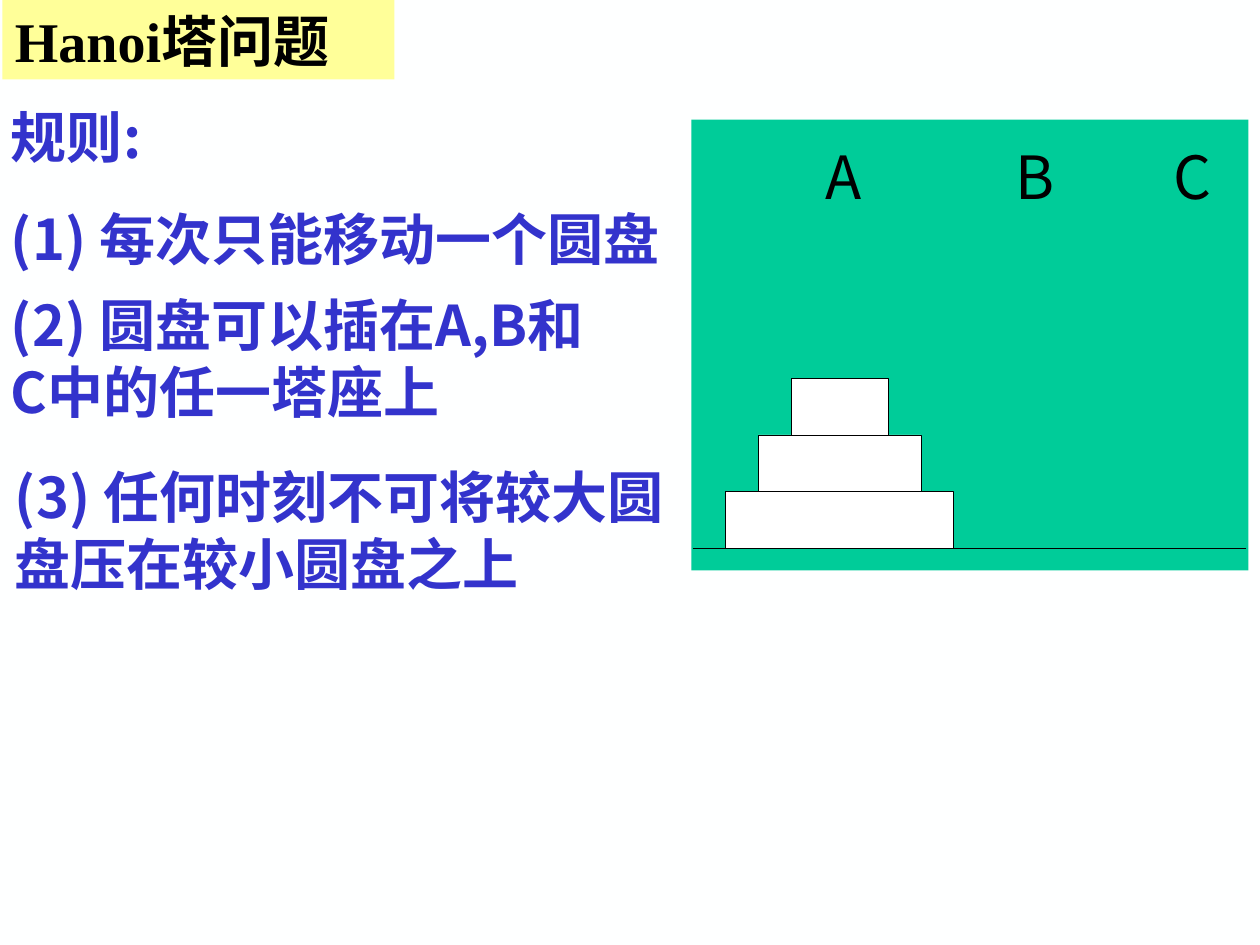
from lxml.etree import SubElement
from pptx import Presentation
from pptx.dml.color import RGBColor
from pptx.enum.shapes import MSO_CONNECTOR as Link, MSO_SHAPE as Form
from pptx.enum.text import MSO_ANCHOR as Anchor, MSO_AUTO_SIZE as Fit, PP_ALIGN as Align
from pptx.oxml.ns import qn
from pptx.util import Cm, Pt

SANS = "Noto Sans CJK SC"
SERIF = "Times New Roman"


def color(code):
    return RGBColor.from_string(code)


def write(frame, text, size=32, font=SANS, ink="3333CC", bold=True, wrap=True, pad=(0.25, 0.13)):
    frame.auto_size = Fit.NONE
    frame.word_wrap = wrap
    frame.vertical_anchor = Anchor.TOP
    frame.margin_left = frame.margin_right = Cm(pad[0])
    frame.margin_top = frame.margin_bottom = Cm(pad[1])
    para = frame.paragraphs[0]
    para.alignment = Align.LEFT
    run = para.add_run()
    run.text = text
    run.font.size = Pt(size)
    run.font.bold = bold
    run.font.color.rgb = color(ink)
    run.font.name = font
    SubElement(run.font._element, qn("a:ea"), typeface=SANS)


class Deck:
    black = "000000"
    thin = Pt(0.5)

    def __init__(self):
        self.show = Presentation()
        self.show.slide_width = Cm(25.4)
        self.show.slide_height = Cm(19.05)
        self.slide = self.show.slides.add_slide(self.show.slide_layouts[5])
        self.paint(self.slide.background, "FEFFFF")

    def paint(self, part, code):
        part.fill.solid()
        part.fill.fore_color.rgb = color(code)

    def title(self, text, box, fill):
        head = self.slide.shapes.title
        head.left, head.top, head.width, head.height = map(Cm, box)
        self.paint(head, fill)
        write(head.text_frame, text, font=SERIF, ink=self.black)

    def text(self, text, box, **style):
        shape = self.slide.shapes.add_textbox(*map(Cm, box))
        write(shape.text_frame, text, **style)

    def block(self, box, fill, edge=False):
        shape = self.slide.shapes.add_shape(Form.RECTANGLE, *map(Cm, box))
        shape.shadow.inherit = False
        self.paint(shape, fill)
        if edge:
            shape.line.color.rgb = color(self.black)
            shape.line.width = self.thin
        else:
            shape.line.fill.background()

    def line(self, *ends):
        link = self.slide.shapes.add_connector(Link.STRAIGHT, *map(Cm, ends))
        link.line.color.rgb = color(self.black)
        link.line.width = self.thin
        SubElement(link._element.spPr, qn("a:effectLst"))


def main():
    deck = Deck()
    deck.title("Hanoi塔问题", (0.05, 0, 7.9, 1.6), "FFFF99")

    rules = [
        ("规则:", (-0.03, 1.93, 3.35, 1.6), False),
        ("(1) 每次只能移动一个圆盘", (-0.03, 3.99, 14.12, 1.6), False),
        ("(2) 圆盘可以插在A,B和C中的任一塔座上", (-0.03, 5.72, 12.7, 2.97), True),
        ("(3) 任何时刻不可将较大圆盘压在较小圆盘之上", (0.05, 9.19, 13.97, 2.97), True),
    ]
    for text, box, wrap in rules:
        deck.text(text, box, wrap=wrap)

    deck.block((13.94, 2.41, 11.23, 9.09), "00CC99")
    base, mid, high = 11.05, 16.93, 1.14
    deck.line(13.97, base, 25.12, base)
    for step in range(3):
        wide = 4.6 - 1.32 * step
        deck.block((mid - wide / 2, base - high * (step + 1), wide, high), "FFFFFF", edge=True)

    for name, left in zip("ABC", (16.64, 20.47, 23.65)):
        deck.text(name, (left, 2.82, 0.61, 1.45), size=34, ink=deck.black,
                  bold=False, wrap=False, pad=(0, 0))

    deck.show.save("out.pptx")


if __name__ == "__main__":
    main()
